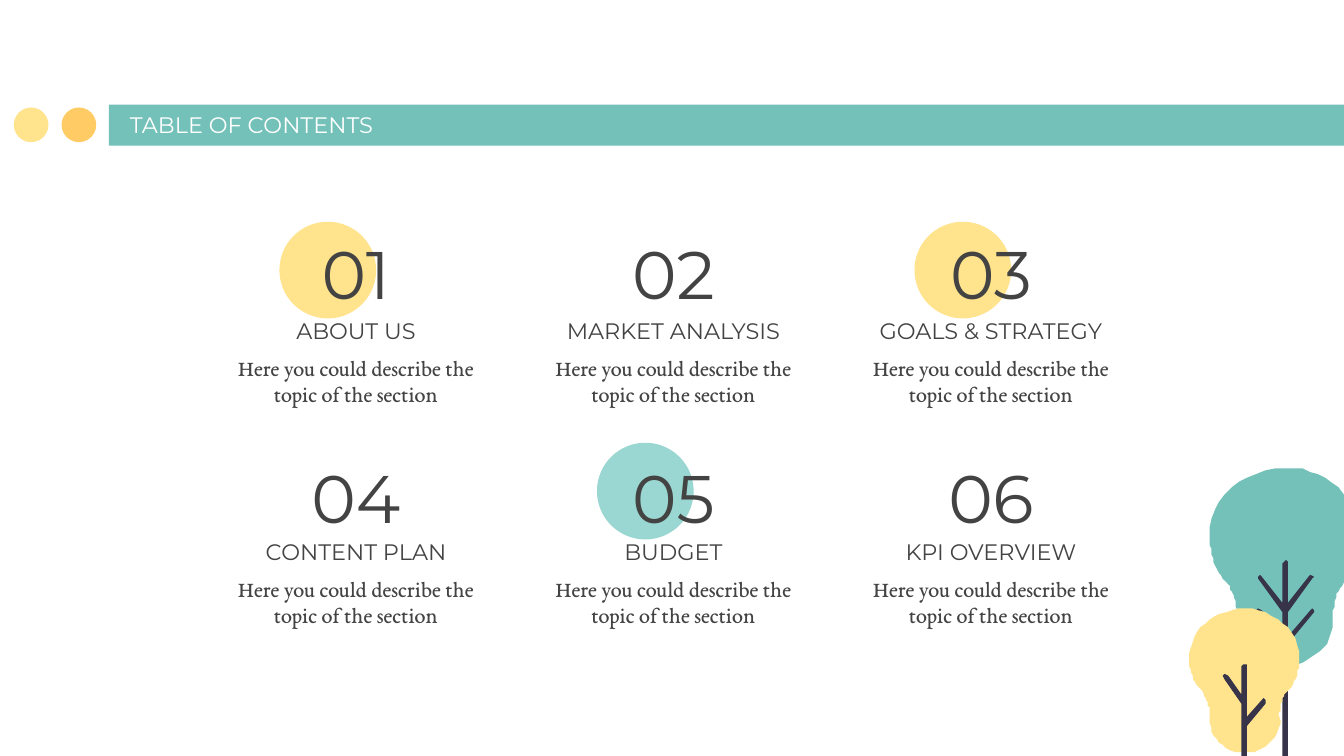
from pptx import Presentation
from pptx.util import Pt
from pptx.dml.color import RGBColor
from pptx.enum.shapes import MSO_SHAPE as SHAPE
from pptx.enum.text import MSO_ANCHOR as ANCHOR, MSO_AUTO_SIZE as AUTO, PP_ALIGN as ALIGN

COLORS = {
    "teal": "74C1B9", "mint": "9AD7D2", "yellow": "FFE48D", "orange": "FFCB64",
    "ink": "434343", "wood": "373449", "white": "FFFFFF",
}
TITLE = "TABLE OF CONTENTS"
DESCRIPTION = "Here you could describe the topic of the section"
SECTIONS = [
    ("ABOUT US", "yellow"), ("MARKET ANALYSIS", None), ("GOALS & STRATEGY", "yellow"),
    ("CONTENT PLAN", None), ("BUDGET", "mint"), ("KPI OVERVIEW", None),
]
COLUMNS, FIRST_CENTER, COLUMN_STEP = 3, 190.7, 170.1
ROW_STEP, NUMBER_STEP = 118.4, 120

BIG_CROWN = [
    (688.3, 250.6),
    (666, 250.6, 648, 267.1, 648, 288),
    (648, 296.6, 650.9, 305.3, 656.6, 311.8),
    (661, 316.8, 663.1, 323.3, 662.4, 329.8),
    (662.4, 330.5, 662.4, 331.2, 662.4, 333.4),
    (662.4, 346.3, 674.6, 356.4, 688.3, 356.4),
    (702.7, 356.4, 714.2, 345.6, 714.2, 332.6),
    (714.2, 331.2),
    (714.2, 323.3, 716.4, 316.1, 720.7, 311),
    (727.2, 303.1, 730.1, 293, 728.6, 283.7),
    (726.5, 266.4, 711.4, 252.7, 693.4, 250.6),
]
SMALL_CROWN = [
    (666.7, 326.2),
    (663.1, 326.2),
    (649.4, 327.6, 638.6, 337.7, 637.2, 349.9),
    (636.5, 357.1, 638.6, 364.3, 643, 369.4),
    (646.6, 373.7, 648, 378.7, 648, 384.5),
    (648, 395.3, 655.9, 403.2, 666.7, 403.2),
    (676.8, 403.2, 685.4, 395.3, 686.2, 385.9),
    (685.4, 383),
    (685.4, 378.7, 686.9, 373.7, 689.8, 370.1),
    (694.1, 365.8, 696.2, 359.3, 696.2, 352.8),
    (696.2, 337.7, 682.6, 326.2, 666.7, 326.2),
]
BIG_TRUNK_CENTER = 688.8
BIG_TRUNK_HALF = [
    (0, 300.2), (1.1, 300.6), (1.5, 301.7), (1.5, 323.3), (12.3, 308.9), (13.7, 308.2),
    (15, 309), (14.6, 310.3), (1.5, 328.3), (1.5, 340.6), (13, 326.6), (14.6, 326.2),
    (15.5, 327), (15.1, 328.3), (1.5, 344.9), (1.5, 420.5), (0, 421.9),
]
BIG_TRUNK = [(BIG_TRUNK_CENTER + x, y) for x, y in BIG_TRUNK_HALF]
BIG_TRUNK += [(BIG_TRUNK_CENTER - x, y) for x, y in BIG_TRUNK_HALF[-2:0:-1]]
SMALL_TRUNK = [
    (666.7, 355.5), (665.6, 355.9), (665.2, 357), (665.2, 371.5), (658.1, 362.2),
    (656.4, 361.4), (655.2, 362.4), (655.9, 363.9), (665.2, 377), (665.2, 427),
    (666.7, 428.4), (668.5, 427), (668.5, 388.8), (678.2, 376.9), (678.5, 375.2),
    (676.8, 374.2), (675.8, 374.9), (668.5, 383.8), (668.5, 357), (667.9, 355.9),
]


def rgb(name):
    return RGBColor.from_string(COLORS[name])


def paint(sp, color):
    sp.fill.solid()
    sp.fill.fore_color.rgb = rgb(color)
    sp.line.fill.background()
    sp.shadow.inherit = False


def add_plain(slide, kind, x, y, w, h, color):
    sp = slide.shapes.add_shape(kind, Pt(x), Pt(y), Pt(w), Pt(h))
    paint(sp, color)


def add_outline(slide, segments, color, steps=12):
    points = [segments[0]]
    for segment in segments[1:]:
        if len(segment) == 2:
            points.append(segment)
            continue
        a, b, c, d = points[-1], segment[:2], segment[2:4], segment[4:]
        for i in range(1, steps + 1):
            t = i / steps
            u = 1 - t
            points.append(tuple(
                u**3 * a[k] + 3 * u * u * t * b[k] + 3 * u * t * t * c[k] + t**3 * d[k]
                for k in (0, 1)))
    builder = slide.shapes.build_freeform(*points[0], scale=Pt(1))
    builder.add_line_segments(points[1:], close=True)
    paint(builder.convert_to_shape(), color)


def write(sp, text, *, box, font="Montserrat", size=12, color="ink",
          align=ALIGN.CENTER, anchor=ANCHOR.BOTTOM):
    sp.left, sp.top, sp.width, sp.height = (Pt(v) for v in box)
    tf = sp.text_frame
    tf.word_wrap = True
    tf.auto_size = AUTO.NONE
    tf.vertical_anchor = anchor
    tf.margin_left = tf.margin_right = tf.margin_top = tf.margin_bottom = Pt(7.2)
    p = tf.paragraphs[0]
    p.alignment = align
    r = p.add_run()
    r.text = text
    r.font.name, r.font.size, r.font.color.rgb = font, Pt(size), rgb(color)


def add_label(slide, text, **fmt):
    write(slide.shapes.add_textbox(0, 0, 0, 0), text, **fmt)


def main():
    prs = Presentation()
    prs.slide_width, prs.slide_height = Pt(720), Pt(405)
    slide = prs.slides.add_slide(prs.slide_layouts[5])
    title = slide.shapes.title

    add_plain(slide, SHAPE.RECTANGLE, 58.4, 56, 684, 22, "teal")
    for x, color in ((7.4, "yellow"), (33, "orange")):
        add_plain(slide, SHAPE.OVAL, x, 57.6, 18.6, 18.6, color)
    write(title, TITLE, box=(62.4, 56.9, 394.6, 24.5), color="white", align=ALIGN.LEFT)
    slide.shapes._spTree.append(title._element)

    for i, (name, dot) in enumerate(SECTIONS):
        row, column = divmod(i, COLUMNS)
        center = FIRST_CENTER + column * COLUMN_STEP
        dy = row * ROW_STEP
        if dot:
            add_plain(slide, SHAPE.OVAL, center - 41, 118.8 + dy, 51.8, 51.8, dot)
        add_label(slide, f"{i + 1:02}", size=36, anchor=ANCHOR.MIDDLE,
                  box=(center - 69, 123.4 + row * NUMBER_STEP, 138, 45.4))
        add_label(slide, name, box=(center - 91.5, 146.2 + dy, 183, 45.4))
        add_label(slide, DESCRIPTION, font="EB Garamond", anchor=ANCHOR.TOP,
                  box=(center - 75, 182.3 + dy, 150, 48.2))

    for crown, leaf, trunk in ((BIG_CROWN, "teal", BIG_TRUNK),
                               (SMALL_CROWN, "yellow", SMALL_TRUNK)):
        add_outline(slide, crown, leaf)
        add_outline(slide, trunk, "wood")

    prs.save("out.pptx")


if __name__ == "__main__":
    main()
